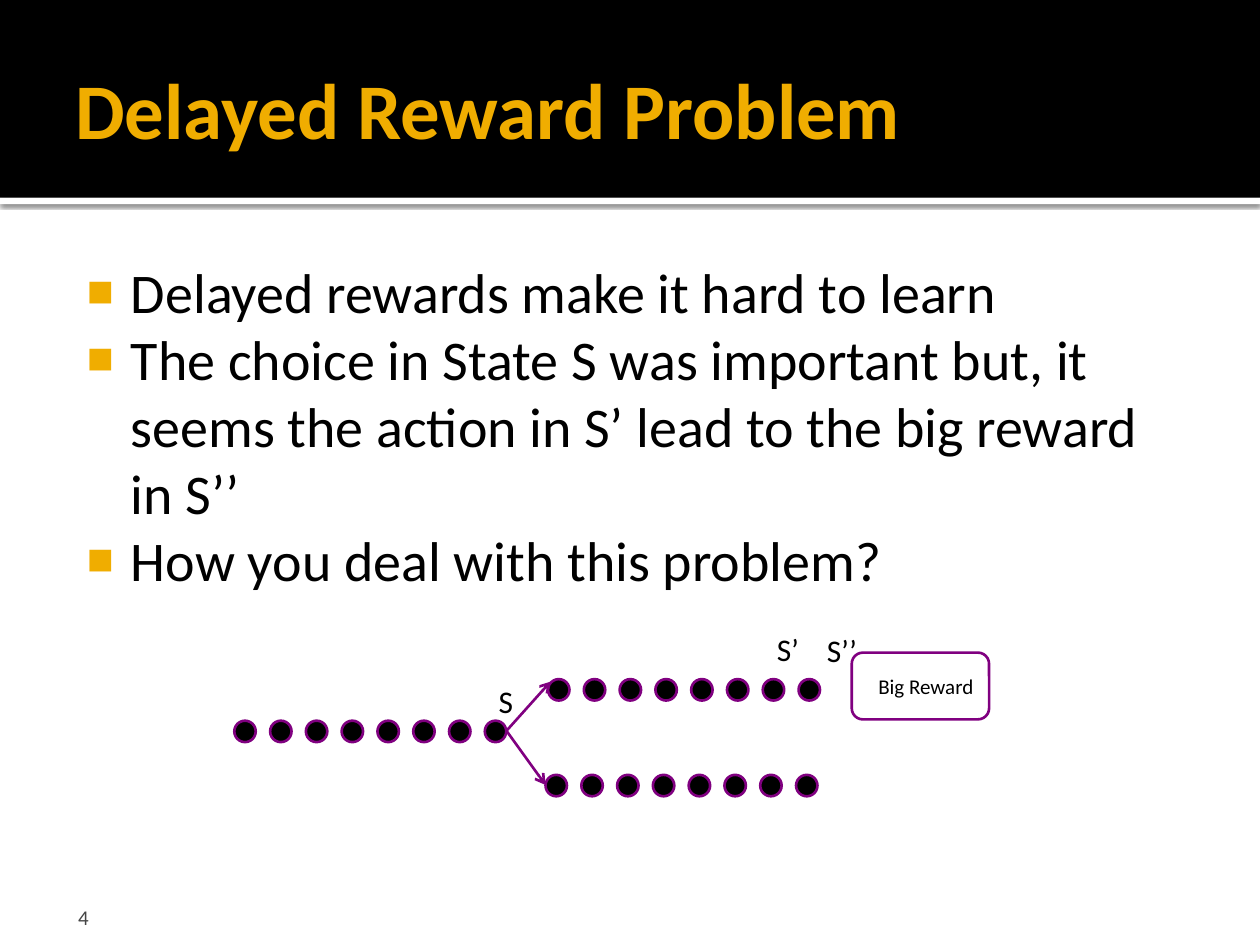
from dataclasses import dataclass
from typing import Optional

import pptx
import pptx.dml.color
import pptx.enum.shapes
import pptx.enum.text
import pptx.oxml
import pptx.oxml.ns
import pptx.util
from lxml import etree

RGB = pptx.dml.color.RGBColor
SHAPE = pptx.enum.shapes.MSO_SHAPE
ANCHOR = pptx.enum.text.MSO_ANCHOR
ALIGN = pptx.enum.text.PP_ALIGN
qn = pptx.oxml.ns.qn
COLUMNS, ROWS = 100, 75


@dataclass(frozen=True)
class Theme:
    font: str = "Calibri"
    ink: str = "000000"
    paper: str = "FFFFFF"
    accent: str = "F0AD00"
    outline: str = "800080"
    muted: str = "454545"
    title_size: int = 45
    body_size: int = 32
    label_size: int = 18
    small_size: int = 12
    line_width: float = 1.5


@dataclass(frozen=True)
class Box:
    col: float
    row: float
    cols: float
    rows: float


@dataclass(frozen=True)
class Style:
    size: int
    color: str
    bold: bool = False
    align: Optional[ALIGN] = None
    anchor: ANCHOR = ANCHOR.TOP
    insets: tuple[float, ...] = (1, 0.5, 1, 0.5)
    bullet: bool = False
    wrap: bool = True


@dataclass(frozen=True)
class Label:
    words: str
    box: Box
    wrap: bool


THEME = Theme()
presentation = pptx.Presentation()
presentation.slide_width = pptx.util.Inches(10)
presentation.slide_height = pptx.util.Inches(7.5)
slide = presentation.slides.add_slide(presentation.slide_layouts[6])


def across(cols: float) -> int:
    return round(presentation.slide_width * cols / COLUMNS)


def down(rows: float) -> int:
    return round(presentation.slide_height * rows / ROWS)


def place(box: Box) -> tuple[int, ...]:
    return across(box.col), down(box.row), across(box.cols), down(box.rows)


def draw_shape(kind: SHAPE, box: Box, fill: Optional[str], outline: Optional[str] = None):
    shape = slide.shapes.add_shape(kind, *place(box))
    shape.shadow.inherit = False
    if fill:
        shape.fill.solid()
        shape.fill.fore_color.rgb = RGB.from_string(fill)
    else:
        shape.fill.background()
    if outline:
        shape.line.color.rgb = RGB.from_string(outline)
        shape.line.width = pptx.util.Pt(THEME.line_width)
    else:
        shape.line.fill.background()
    return shape


def add_bullet(paragraph) -> None:
    properties = paragraph._p.get_or_add_pPr()
    properties.set("marL", str(across(4.8)))
    properties.set("indent", str(across(-3.5)))
    color = etree.SubElement(properties, qn("a:buClr"))
    etree.SubElement(color, qn("a:srgbClr"), val=THEME.accent)
    etree.SubElement(properties, qn("a:buSzPct"), val="80000")
    etree.SubElement(properties, qn("a:buFont"), typeface="Arial")
    etree.SubElement(properties, qn("a:buChar"), char="■")


def write(frame, lines: list[str], style: Style) -> None:
    frame.word_wrap = style.wrap
    frame.vertical_anchor = style.anchor
    left, top, right, bottom = style.insets
    frame.margin_left, frame.margin_right = across(left), across(right)
    frame.margin_top, frame.margin_bottom = down(top), down(bottom)
    for number, line in enumerate(lines):
        paragraph = frame.add_paragraph() if number else frame.paragraphs[0]
        if style.bullet:
            add_bullet(paragraph)
        paragraph.alignment = style.align
        run = paragraph.add_run()
        run.text = line
        run.font.name = THEME.font
        run.font.size = pptx.util.Pt(style.size)
        run.font.bold = style.bold
        run.font.color.rgb = RGB.from_string(style.color)


def draw_text(box: Box, lines: list[str], style: Style) -> None:
    write(slide.shapes.add_textbox(*place(box)).text_frame, lines, style)


def draw_states(col: float, row: float, count: int = 8, pitch: float = 2.84) -> None:
    for step in range(count):
        draw_shape(SHAPE.OVAL, Box(col + step * pitch, row, 1.7, 1.7), THEME.ink, THEME.outline)


def draw_action(start: tuple[float, float], end: tuple[float, float]) -> None:
    action = slide.shapes.add_connector(
        pptx.enum.shapes.MSO_CONNECTOR.STRAIGHT,
        across(start[0]), down(start[1]), across(end[0]), down(end[1]),
    )
    action.line.color.rgb = RGB.from_string(THEME.outline)
    action.line.width = pptx.util.Pt(THEME.line_width)
    etree.SubElement(action.line._get_or_add_ln(), qn("a:tailEnd"), type="arrow")
    etree.SubElement(action._element.spPr, qn("a:effectLst"))


def cast_shadow(shape) -> None:
    effects = shape._element.spPr.find(qn("a:effectLst"))
    shadow = etree.SubElement(
        effects, qn("a:outerShdw"), dir="5400000", rotWithShape="0",
        blurRad=str(pptx.util.Pt(2.5)), dist=str(pptx.util.Pt(0.8)),
    )
    color = etree.SubElement(shadow, qn("a:srgbClr"), val=THEME.ink)
    etree.SubElement(color, qn("a:alpha"), val="60000")


BANNER_ROWS = 15.7
cast_shadow(draw_shape(SHAPE.RECTANGLE, Box(0, BANNER_ROWS, COLUMNS, 0.5), THEME.paper))
draw_shape(SHAPE.RECTANGLE, Box(0, 0, COLUMNS, BANNER_ROWS), THEME.ink)
draw_text(Box(5, 1.7, 90, 13.7), ["Delayed Reward Problem"],
          Style(THEME.title_size, THEME.accent, bold=True, anchor=ANCHOR.MIDDLE,
                insets=(1, 0.5, 0.5, 0.5)))
draw_text(Box(5, 19.4, 90, 50.6), [
    "Delayed rewards make it hard to learn",
    "The choice in State S was important but, it seems the action in S’ lead to the big reward in S’’",
    "How you deal with this problem?",
], Style(THEME.body_size, THEME.ink, insets=(0.6, 1, 1, 0.5), bullet=True))
draw_text(Box(5, 70.8, 23.3, 3), ["4"],
          Style(THEME.small_size, THEME.muted, anchor=ANCHOR.BOTTOM, insets=(1.2, 0.5, 0.5, 0)))

for first_col, chain_row in ((18.6, 57.2), (43.5, 53.9), (43.3, 61.5)):
    draw_states(first_col, chain_row)

choice = (40.2, 58)
for outcome in ((43.7, 54.1), (43.3, 62.3)):
    draw_action(choice, outcome)

reward = draw_shape(SHAPE.ROUNDED_RECTANGLE, Box(67.6, 51.8, 10.9, 5.3), None, THEME.outline)
write(reward.text_frame, ["Big Reward"],
      Style(THEME.small_size, THEME.ink, align=ALIGN.RIGHT, anchor=ANCHOR.MIDDLE))

for label in (
    Label("S", Box(37.4, 53.6, 4.3, 5.1), True),
    Label("S’’", Box(63.3, 49.6, 5.7, 5.1), False),
    Label("S’", Box(59.4, 49.5, 5, 5.1), False),
):
    draw_text(label.box, [label.words],
              Style(THEME.label_size, THEME.ink, align=ALIGN.RIGHT, wrap=label.wrap))

presentation.save("out.pptx")
